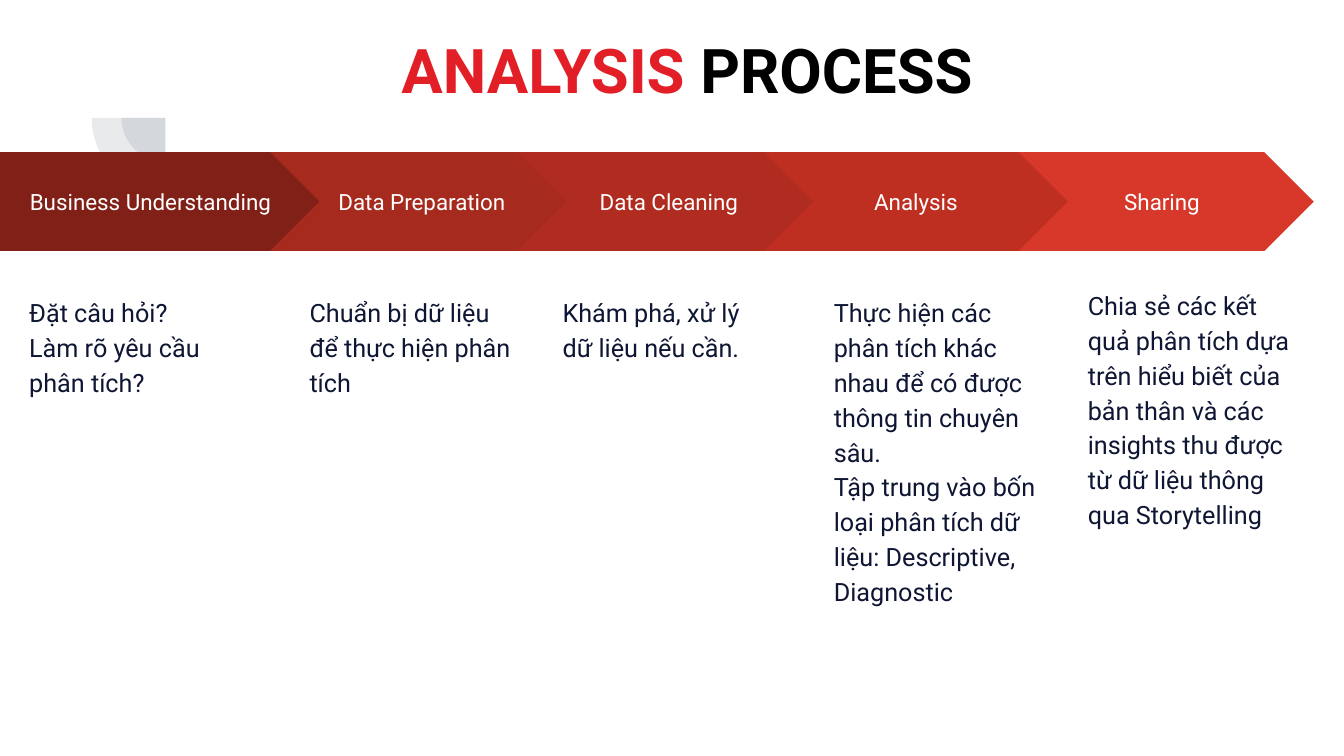
import pptx
import pptx.util
import pptx.dml.color
import pptx.enum.shapes
import pptx.enum.text
import pptx.oxml.ns
from dataclasses import dataclass
from lxml import etree

Inches = pptx.util.Inches
RGBColor = pptx.dml.color.RGBColor
PRESET = pptx.enum.shapes.MSO_SHAPE
ALIGN = pptx.enum.text.PP_ALIGN
ANCHOR = pptx.enum.text.MSO_ANCHOR


@dataclass(frozen=True)
class Theme:
    font: str = "Roboto"
    accent: str = "E21F26"
    heading: str = "000000"
    label: str = "FFFFFF"
    detail: str = "0E1633"
    ornament: str = "44546A"
    ornament_alpha: int = 12000
    heading_size: int = 44
    label_size: int = 16
    detail_size: int = 18


theme = Theme()


def format_run(run, size, color, bold=False):
    run.font.name = theme.font
    run.font.size = pptx.util.Pt(size)
    run.font.bold = bold
    run.font.color.rgb = RGBColor.from_string(color)


def set_margins(frame):
    frame.word_wrap = True
    frame.margin_left = frame.margin_right = Inches(0.13)
    frame.margin_top = frame.margin_bottom = Inches(0.13)


presentation = pptx.Presentation()
presentation.slide_width = Inches(13.33)
presentation.slide_height = Inches(7.5)
slide = presentation.slides.add_slide(presentation.slide_layouts[5])

# Quarter-circle ornament: two radii around one centre
for radius in (0.435, 0.73):
    quarter = slide.shapes.add_shape(
        PRESET.PIE, Inches(1.64 - radius), Inches(1.17 - radius),
        Inches(2 * radius), Inches(2 * radius))
    quarter.adjustments[0] = 108
    quarter.adjustments[1] = 162
    quarter.rotation = 270
    quarter.shadow.inherit = False
    quarter.line.fill.background()
    quarter.fill.solid()
    quarter.fill.fore_color.rgb = RGBColor.from_string(theme.ornament)
    tint = quarter.fill._xPr.find(".//" + pptx.oxml.ns.qn("a:srgbClr"))
    etree.SubElement(tint, pptx.oxml.ns.qn("a:alpha"), val=str(theme.ornament_alpha))

# Title in two colours
title = slide.shapes.title
title.left, title.top = Inches(1.69), Inches(0.3)
title.width, title.height = Inches(10.25), Inches(0.86)
title.text_frame.auto_size = pptx.enum.text.MSO_AUTO_SIZE.NONE
title.text_frame.vertical_anchor = ANCHOR.MIDDLE
heading = title.text_frame.paragraphs[0]
heading.alignment = ALIGN.CENTER
heading.line_spacing = 0.9
for words, color in (("ANALYSIS", theme.accent), (" PROCESS", theme.heading)):
    run = heading.add_run()
    run.text = words
    format_run(run, theme.heading_size, color, bold=True)

# Steps, back to front: label, preset, arrow left, arrow width, fill,
# detail left, detail top, detail height, detail text
steps = [
    ("Business Understanding", PRESET.PENTAGON, 0, 3.23, "802017", 0.16, 2.78, 3.43,
     "Đặt câu hỏi?\nLàm rõ yêu cầu phân tích?"),
    ("Data Preparation", PRESET.CHEVRON, 2.68, 3.01, "A72A1E", 2.94, 2.78, 3.43,
     "Chuẩn bị dữ liệu để thực hiện phân tích"),
    ("Data Cleaning", PRESET.CHEVRON, 5.13, 3.01, "B02C20", 5.45, 2.78, 3.43,
     "Khám phá, xử lý dữ liệu nếu cần."),
    ("Sharing", PRESET.CHEVRON, 10.02, 3.01, "D83829", 10.66, 2.71, 3.43,
     "Chia sẻ các kết quả phân tích dựa trên hiểu biết của bản thân "
     "và các insights thu được từ dữ liệu thông qua Storytelling"),
    ("Analysis", PRESET.CHEVRON, 7.58, 3.01, "BE2F22", 8.14, 2.78, 4.04,
     "Thực hiện các phân tích khác nhau để có được thông tin chuyên sâu.\n"
     "Tập trung vào bốn loại phân tích dữ liệu: Descriptive, Diagnostic"),
]

for (label, preset, arrow_left, arrow_width, fill,
     detail_left, detail_top, detail_height, detail_text) in steps:
    # Arrow with its step name
    arrow = slide.shapes.add_shape(
        preset, Inches(arrow_left), Inches(1.51), Inches(arrow_width), Inches(0.98))
    arrow.adjustments[0] = 0.5
    arrow.shadow.inherit = False
    arrow.line.fill.background()
    arrow.fill.solid()
    arrow.fill.fore_color.rgb = RGBColor.from_string(fill)
    set_margins(arrow.text_frame)
    arrow.text_frame.vertical_anchor = ANCHOR.MIDDLE
    arrow.text_frame.text = label
    step_name = arrow.text_frame.paragraphs[0]
    step_name.alignment = ALIGN.CENTER
    format_run(step_name.runs[0], theme.label_size, theme.label)

    # Explanation below the arrow
    detail = slide.shapes.add_textbox(
        Inches(detail_left), Inches(detail_top), Inches(2.37), Inches(detail_height))
    set_margins(detail.text_frame)
    detail.text_frame.text = detail_text
    for sentence in detail.text_frame.paragraphs:
        sentence.line_spacing = 1.15
        format_run(sentence.runs[0], theme.detail_size, theme.detail)

presentation.save("out.pptx")
